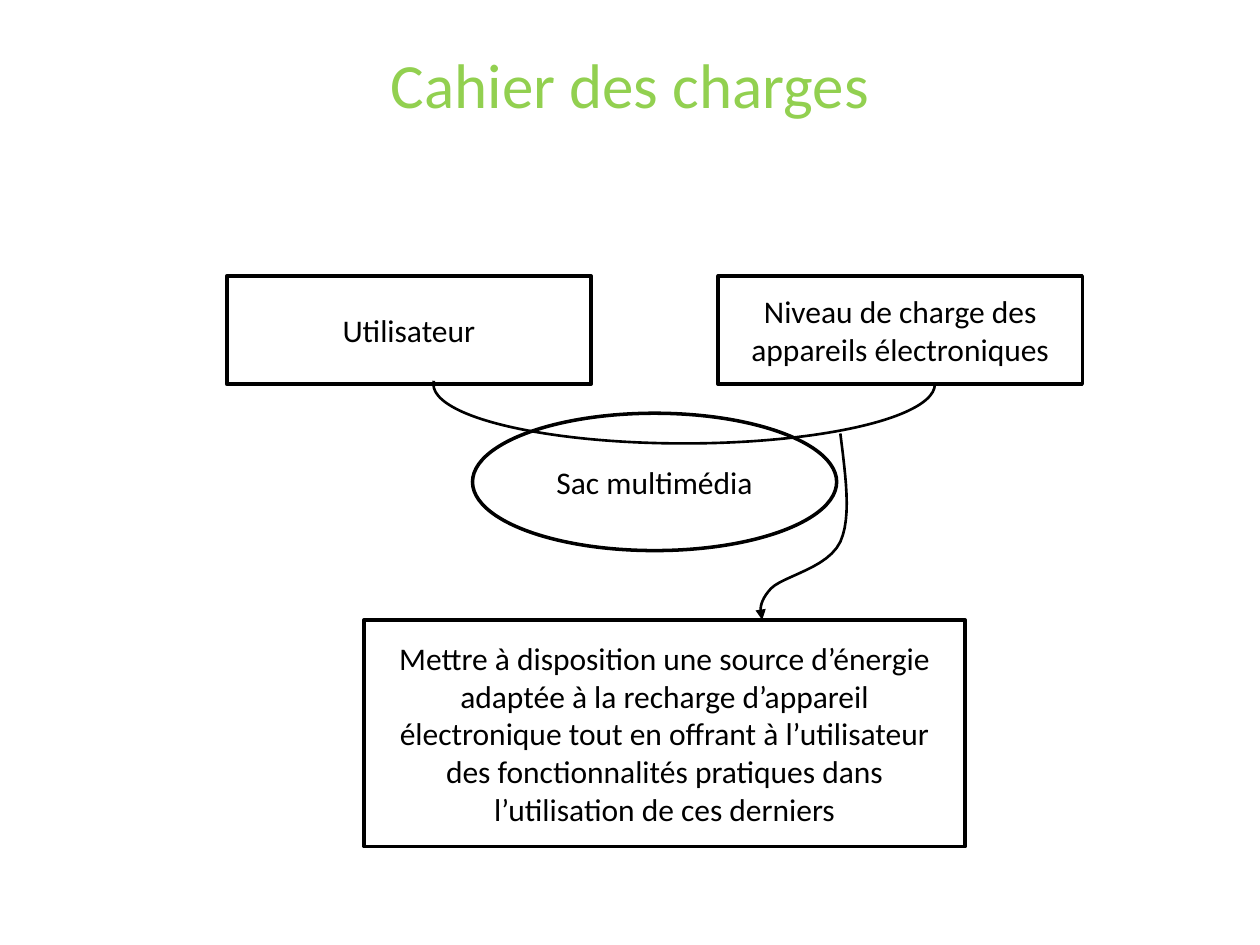
import pptx
import pptx.util
import pptx.dml.color
import pptx.enum.shapes
import pptx.enum.text
import pptx.oxml

Inches = pptx.util.Inches
Pt = pptx.util.Pt
KIND = pptx.enum.shapes.MSO_SHAPE
ANCHOR = pptx.enum.text.MSO_ANCHOR
BLACK = pptx.dml.color.RGBColor(0x00, 0x00, 0x00)
WHITE = pptx.dml.color.RGBColor(0xFF, 0xFF, 0xFF)
GREEN = pptx.dml.color.RGBColor(0x92, 0xD0, 0x50)


def write(shape, text, size, color, anchor):
    frame = shape.text_frame
    frame.word_wrap = True
    frame.vertical_anchor = anchor
    para = frame.paragraphs[0]
    para.alignment = pptx.enum.text.PP_ALIGN.CENTER
    run = para.add_run()
    run.text = text
    form = {"name": "Calibri", "size": Pt(size), "bold": False}
    for key, value in form.items():
        setattr(run.font, key, value)
    run.font.color.rgb = color


def outline(shape, width):
    shape.shadow.inherit = False
    shape.line.color.rgb = BLACK
    shape.line.width = Pt(width)


deck = pptx.Presentation()
deck.slide_width = Inches(10)
deck.slide_height = Inches(7.5)
slide = deck.slides.add_slide(deck.slide_layouts[5])
shapes = slide.shapes

title = shapes.title
place = {"left": 0, "top": 0.31, "width": 10, "height": 0.71}
for key, value in place.items():
    setattr(title, key, Inches(value))
write(title, "Cahier des charges", 36, GREEN, ANCHOR.TOP)

nodes = [
    (KIND.OVAL, 3.75, 3.28, 2.89, 1.09, "Sac multimédia"),
    (KIND.RECTANGLE, 5.7, 2.19, 2.89, 0.86,
     "Niveau de charge des appareils électroniques"),
    (KIND.RECTANGLE, 1.8, 2.19, 2.89, 0.86, "Utilisateur"),
    (KIND.RECTANGLE, 2.89, 4.92, 4.77, 1.8,
     "Mettre à disposition une source d’énergie adaptée à la recharge "
     "d’appareil électronique tout en offrant à l’utilisateur des "
     "fonctionnalités pratiques dans l’utilisation de ces derniers"),
]
for kind, left, top, width, height, text in nodes:
    node = shapes.add_shape(
        kind, Inches(left), Inches(top), Inches(width), Inches(height))
    node.fill.solid()
    node.fill.fore_color.rgb = WHITE
    outline(node, 2)
    write(node, text, 18, BLACK, ANCHOR.MIDDLE)

arc = shapes.add_shape(
    KIND.ARC, Inches(3.44), Inches(2.58), Inches(3.98), Inches(0.94))
arc.adjustments[0] = 216
arc.adjustments[1] = 108.46
arc.fill.background()
outline(arc, 1.5)

start = (6.67, 3.44)
curves = [
    ((6.71, 3.77), (6.76, 4.1), (6.67, 4.3)),
    ((6.57, 4.51), (6.22, 4.57), (6.12, 4.67)),
    ((6.02, 4.78), (6.03, 4.85), (6.05, 4.92)),
]
steps = 12
points = []
last = start
for curve in curves:
    for step in range(1, steps + 1):
        t = step / steps
        parts = ((1 - t) ** 3, 3 * t * (1 - t) ** 2, 3 * t * t * (1 - t), t ** 3)
        knots = (last, *curve)
        points.append(tuple(
            Inches(sum(part * knot[axis] for part, knot in zip(parts, knots)))
            for axis in (0, 1)))
    last = curve[-1]

path = shapes.build_freeform(Inches(start[0]), Inches(start[1]))
path.add_line_segments(points, close=False)
arrow = path.convert_to_shape()
arrow.fill.background()
outline(arrow, 1.5)
arrow.line._get_or_add_ln().append(pptx.oxml.parse_xml(
    '<a:tailEnd xmlns:a="http://schemas.openxmlformats.org/drawingml/2006/main"'
    ' type="triangle"/>'))

deck.save("out.pptx")
